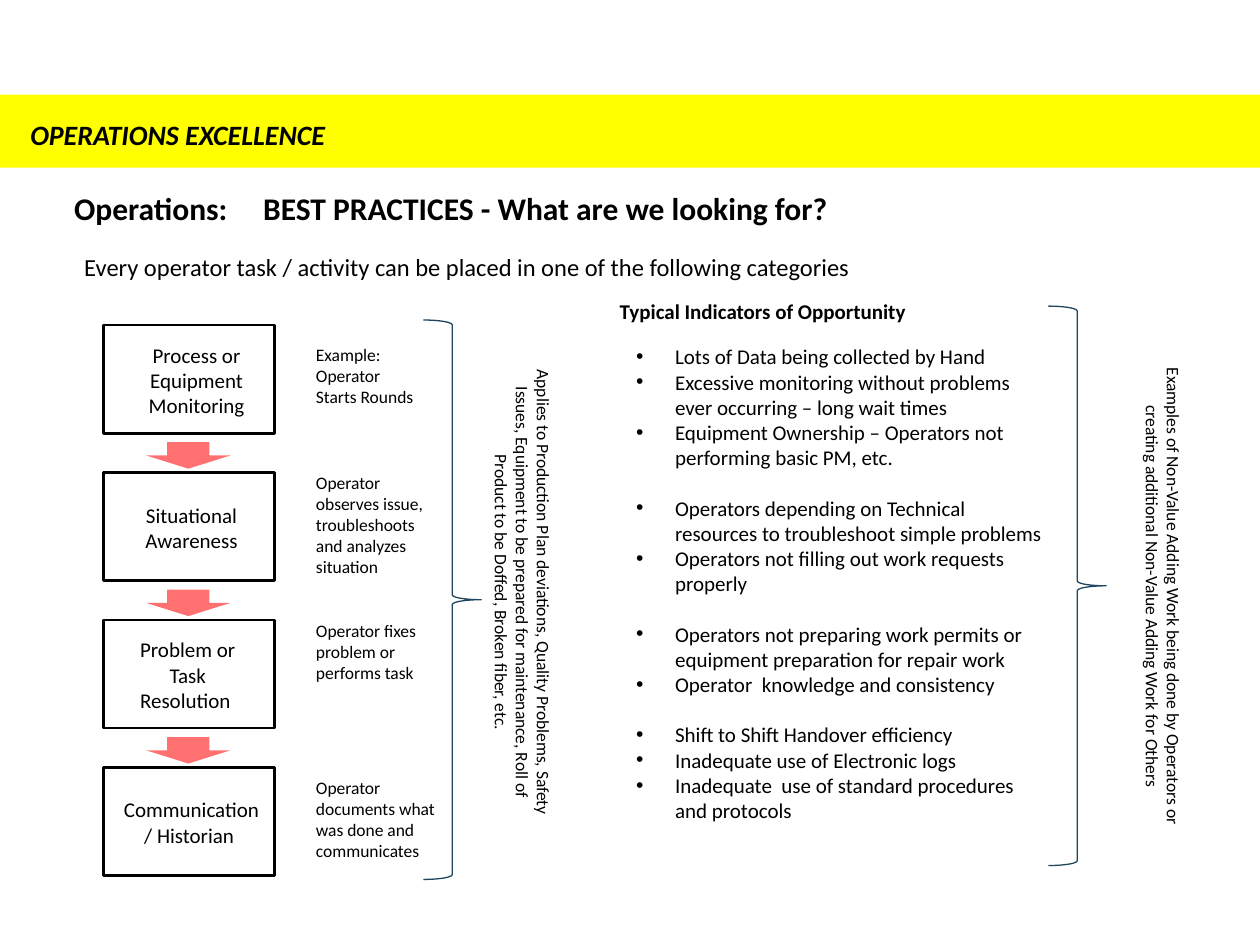
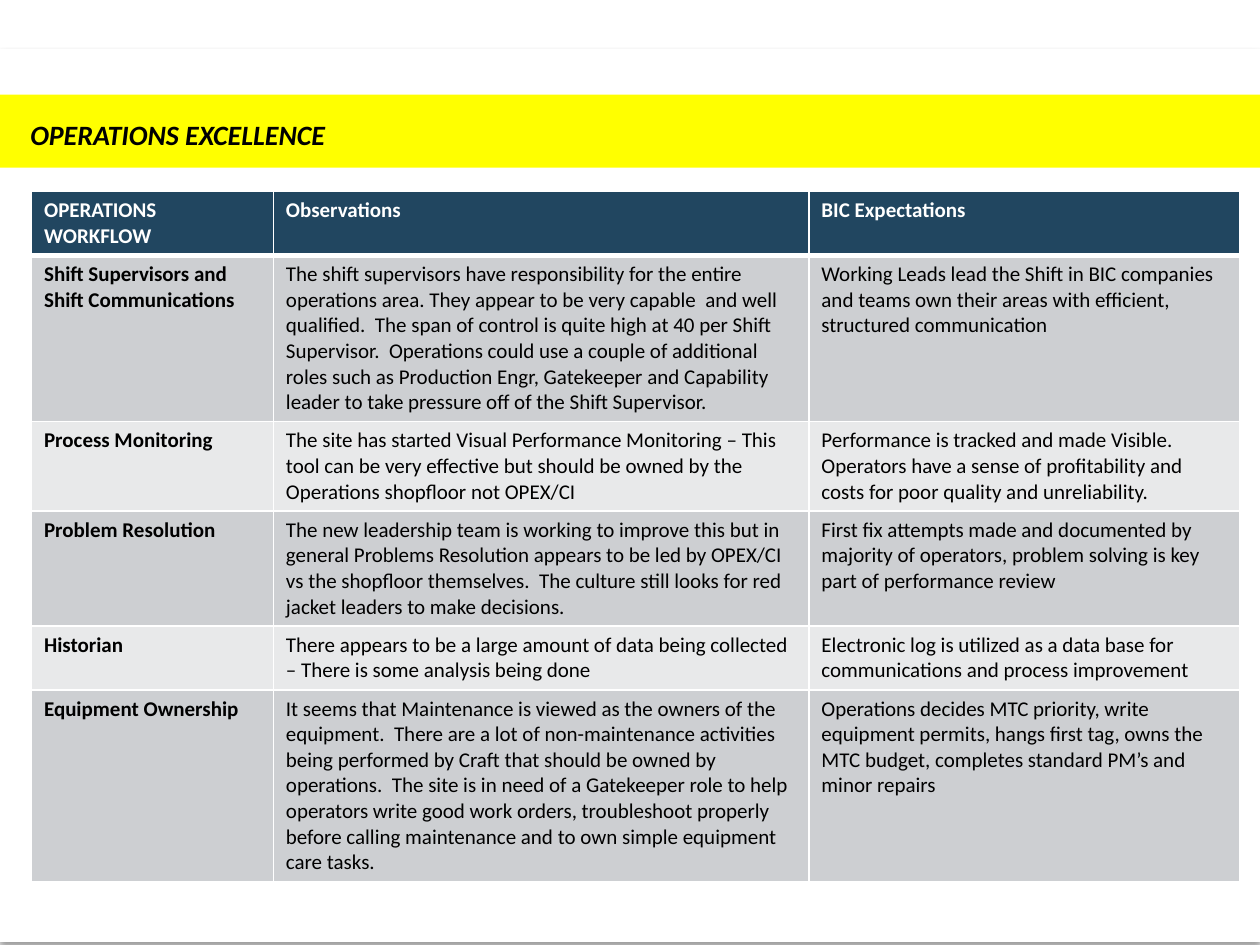
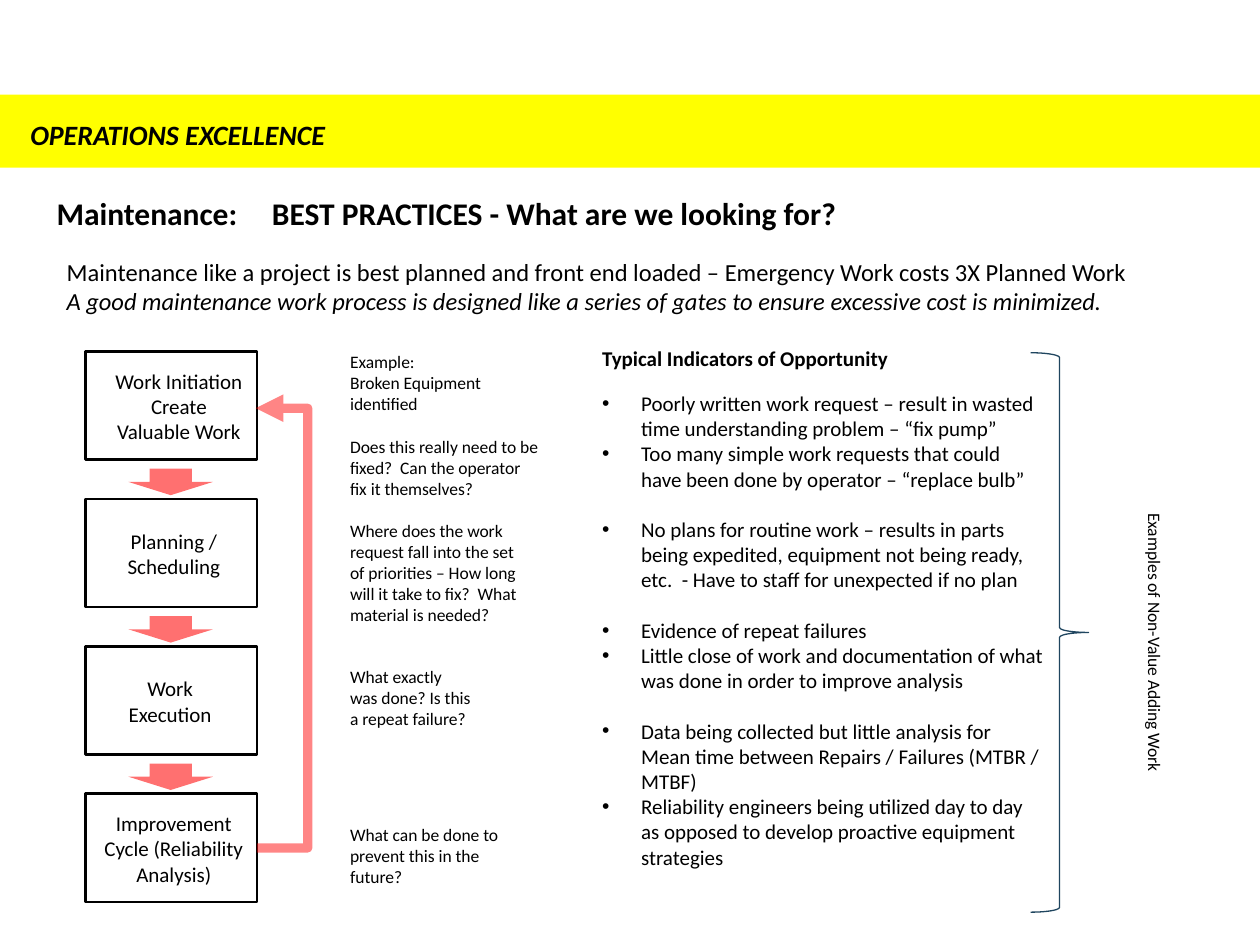
import lxml.etree
import pptx
import pptx.dml.color
import pptx.enum.shapes
import pptx.enum.text
import pptx.oxml.ns
import pptx.util

Inches = pptx.util.Inches
Pt = pptx.util.Pt
RGBColor = pptx.dml.color.RGBColor
Shape = pptx.enum.shapes.MSO_SHAPE
Align = pptx.enum.text.PP_ALIGN
Anchor = pptx.enum.text.MSO_ANCHOR
qn = pptx.oxml.ns.qn

BLACK = RGBColor(0x00, 0x00, 0x00)
WHITE = RGBColor(0xFF, 0xFF, 0xFF)
YELLOW = RGBColor(0xFF, 0xFF, 0x00)
RED = RGBColor(0xFF, 0x00, 0x00)
NAVY = RGBColor(0x1F, 0x45, 0x5F)
HEAD = RGBColor(0x21, 0x46, 0x60)
DARK = RGBColor(0xCD, 0xCF, 0xD2)
LIGHT = RGBColor(0xE8, 0xE9, 0xEA)

FONT = "Calibri"
STEP = 1.17
LABELS = [(0.13, 1.22), (0.09, 1.22), (0.06, 1.22), (0.02, 1.36)]

TASKS = ["Process or Equipment Monitoring", "Situational Awareness",
         "Problem or Task Resolution ", "Communication / Historian "]
TASK_NOTES = [
    (2.68, 1, [["Example:", "Operator Starts Rounds"]]),
    (3.7, 1.17, [["Operator observes issue, troubleshoots and analyzes situation"]]),
    (4.87, 1.17, [["Operator fixes problem or performs task"]]),
    (6.12, 1.17, [["Operator documents what was done and communicates"]]),
]
TASK_SIGNS = [
    ["Lots of Data being collected by Hand",
     "Excessive monitoring without problems ever occurring – long wait times",
     "Equipment Ownership – Operators not performing basic PM, etc."],
    ["Operators depending on Technical resources to troubleshoot simple problems",
     "Operators not filling out work requests properly"],
    ["Operators not preparing work permits or equipment preparation for repair work",
     "Operator  knowledge and consistency"],
    ["Shift to Shift Handover efficiency",
     "Inadequate use of Electronic logs",
     "Inadequate  use of standard procedures and protocols"],
]
GATES = ["Work Initiation|Create Valuable Work", "Planning / Scheduling",
         "Work Execution", "Improvement Cycle (Reliability Analysis)"]
GATE_NOTES = [
    (2.74, 1.71, [["Example:", "Broken Equipment identified"],
                  ["Does this really need to be fixed?  Can the operator fix it themselves?"]]),
    (4.08, 1.62, [["Where does the work request fall into the set of priorities – "
                   "How long will it take to fix?  What material is needed?"]]),
    (5.24, 1.17, [["What exactly was done? Is this a repeat failure?"]]),
    (6.49, 1.42, [["What can be done to prevent this in the future?"]]),
]
GATE_SIGNS = [
    ["Poorly written work request – result in wasted time understanding problem – “fix pump”",
     "Too many simple work requests that could have been done by operator – “replace bulb”"],
    ["No plans for routine work – results in parts being expedited, equipment not being "
     "ready, etc.  - Have to staff for unexpected if no plan"],
    ["Evidence of repeat failures",
     "Little close of work and documentation of what was done in order to improve analysis"],
    ["Data being collected but little analysis for Mean time between Repairs / Failures "
     "(MTBR / MTBF)",
     "Reliability engineers being utilized day to day as opposed to develop proactive "
     "equipment strategies"],
]
ROWS = [
    ["OPERATIONS|WORKFLOW", "Observations", "BIC Expectations"],
    ["Shift Supervisors and Shift Communications",
     "The shift supervisors have responsibility for the entire operations area. They appear "
     "to be very capable  and well qualified.  The span of control is quite high at 40 per "
     "Shift Supervisor.  Operations could use a couple of additional roles such as Production "
     "Engr, Gatekeeper and Capability leader to take pressure off of the Shift Supervisor.",
     "Working Leads lead the Shift in BIC companies and teams own their areas with efficient, "
     "structured communication"],
    ["Process Monitoring",
     "The site has started Visual Performance Monitoring – This tool can be very effective "
     "but should be owned by the Operations shopfloor not OPEX/CI",
     "Performance is tracked and made Visible.  Operators have a sense of profitability and "
     "costs for poor quality and unreliability."],
    ["Problem Resolution",
     "The new leadership team is working to improve this but in general Problems Resolution "
     "appears to be led by OPEX/CI vs the shopfloor themselves.  The culture still looks for "
     "red jacket leaders to make decisions.",
     "First fix attempts made and documented by majority of operators, problem solving is key "
     "part of performance review"],
    ["Historian",
     "There appears to be a large amount of data being collected – There is some analysis "
     "being done",
     "Electronic log is utilized as a data base for communications and process improvement"],
    ["Equipment Ownership",
     "It seems that Maintenance is viewed as the owners of the equipment.  There are a lot of "
     "non-maintenance activities being performed by Craft that should be owned by operations.  "
     "The site is in need of a Gatekeeper role to help operators write good work orders, "
     "troubleshoot properly before calling maintenance and to own simple equipment care tasks.",
     "Operations decides MTC priority, write equipment permits, hangs first tag, owns the MTC "
     "budget, completes standard PM’s and minor repairs"],
]


def node(root, tag, **attrs):
    item = lxml.etree.SubElement(root, qn(f"a:{tag}"))
    for key, value in attrs.items():
        item.set(key, str(value))
    return item


def fade(root, share):
    for color in root.iter(qn("a:srgbClr")):
        node(color, "alpha", val=share * 1000)


class Deck:
    """Holds the shared style and the current slide, and draws each kind of element."""

    def __init__(self):
        self.show = pptx.Presentation()
        self.show.slide_width = Inches(10)
        self.show.slide_height = Inches(7.5)
        self.slide = None

    def start(self):
        self.slide = self.show.slides.add_slide(self.show.slide_layouts[5])

    def place(self, x, y, w, h):
        return [Inches(v) for v in (x, y, w, h)]

    def words(self, para, text, size, bold=False, slant=False, color=BLACK):
        run = para.add_run()
        run.text = text
        font = run.font
        font.name, font.size = FONT, Pt(size)
        font.bold, font.italic = bold, slant
        font.color.rgb = color

    def title(self):
        self.shape(Shape.RECTANGLE, 0, 0.75, 10, 0.58, fill=YELLOW)
        title = self.slide.shapes.title
        title.left, title.top, title.width, title.height = self.place(0.14, 0.88, 9.17, 0.37)
        frame = title.text_frame
        frame.auto_size = pptx.enum.text.MSO_AUTO_SIZE.NONE
        frame.vertical_anchor = Anchor.TOP
        para = frame.paragraphs[0]
        para.alignment = Align.LEFT
        self.words(para, "OPERATIONS EXCELLENCE", 16, True, True)
        self.slide.shapes._spTree.append(title._element)

    def shape(self, kind, x, y, w, h, fill=None, line=None, width=1):
        shape = self.slide.shapes.add_shape(kind, *self.place(x, y, w, h))
        shape.shadow.inherit = False
        if fill is None:
            shape.fill.background()
        else:
            shape.fill.solid()
            shape.fill.fore_color.rgb = fill
        if line is None:
            shape.line.fill.background()
        else:
            shape.line.color.rgb = line
            shape.line.width = Pt(width)
        return shape

    def text(self, x, y, w, h, groups, size, bold=False, align=Align.LEFT,
             anchor=Anchor.TOP, bullet=False):
        box = self.slide.shapes.add_textbox(*self.place(x, y, w, h))
        frame = box.text_frame
        frame.word_wrap = True
        frame.vertical_anchor = anchor
        para = None
        for group in groups:
            for spot, line in enumerate(group):
                fresh = para is None
                para = frame.paragraphs[0] if fresh else frame.add_paragraph()
                para.alignment = align
                if spot == 0 and not fresh:
                    para.space_before = Pt(size * 1.2)
                if bullet:
                    props = para._p.get_or_add_pPr()
                    props.set("marL", str(Inches(0.31)))
                    props.set("indent", str(-Inches(0.31)))
                    node(props, "buFont", typeface="Arial")
                    node(props, "buChar", char="•")
                self.words(para, line, size, bold)
        return frame

    def heading(self, x, y, lead, tab):
        frame = self.text(x, y, 7.92, 0.4, [[f"{lead}\tBEST PRACTICES - What are we looking for?"]],
                          18, True)
        tabs = node(frame.paragraphs[0]._p.get_or_add_pPr(), "tabLst")
        node(tabs, "tab", pos=Inches(tab), algn="l")

    def turned(self, x, y, w, line):
        frame = self.text(x, y, w, 3.88, [[line]], 10, align=Align.CENTER)
        frame._txBody.bodyPr.set("vert", "vert")

    def brace(self, x, y):
        self.shape(Shape.RIGHT_BRACE, x, y, 0.46, 4.44, line=NAVY, width=0.75)

    def flow(self, x, y, steps):
        for spot, (step, (shift, width)) in enumerate(zip(steps, LABELS)):
            top = y + spot * STEP
            self.text(x + shift, top + 0.08, width, 0.71, [step.split("|")], 12,
                      align=Align.CENTER, anchor=Anchor.MIDDLE)
            self.shape(Shape.RECTANGLE, x, top, 1.36, 0.86, line=BLACK, width=1.5)
            if spot < len(steps) - 1:
                arrow = self.shape(Shape.DOWN_ARROW, x + 0.34, top + 0.93, 0.67, 0.21, fill=RED)
                fade(arrow._element.spPr, 56)

    def notes(self, x, items):
        for y, width, groups in items:
            self.text(x, y, width, 0.77, groups, 10)

    def signs(self, x, y, groups, left, top, width):
        self.text(x, y, 4.69, 0.3, [["Typical Indicators of Opportunity"]], 12, True)
        self.text(left, top, width, 4.14, groups, 12, bullet=True)

    def loop(self, x, y, end_x, end_y, bend):
        kind = pptx.enum.shapes.MSO_CONNECTOR.ELBOW
        link = self.slide.shapes.add_connector(kind, *self.place(x, y, end_x, end_y))
        link.line.color.rgb = RED
        link.line.width = Pt(5.25)
        props = link._element.spPr
        fade(props, 48)
        node(props.find(qn("a:ln")), "tailEnd", type="triangle")
        node(props, "effectLst")
        guides = props.find(qn("a:prstGeom")).find(qn("a:avLst"))
        node(guides, "gd", name="adj1", fmla=f"val {bend * 100000}")

    def panel(self):
        panel = self.shape(Shape.RECTANGLE, 0, 0.4, 10, 7.07, fill=WHITE, line=WHITE)
        effects = panel._element.spPr.find(qn("a:effectLst"))
        glow = node(effects, "outerShdw", blurRad=Pt(4), dist=Pt(3), dir=5400000, rotWithShape=0)
        node(glow, "srgbClr", val=BLACK)
        fade(glow, 40)

    def edges(self, cell, base):
        props = cell._tc.get_or_add_tcPr()
        for side, width in (("lnL", 1), ("lnR", 1), ("lnT", 1), ("lnB", base)):
            line = node(props, side, w=Pt(width))
            node(node(line, "solidFill"), "srgbClr", val=WHITE)

    def table(self, x, y, widths, rows):
        place = self.place(x, y, sum(widths), 0.41 * len(rows))
        table = self.slide.shapes.add_table(len(rows), len(widths), *place).table
        for col, width in zip(table.columns, widths):
            col.width = Inches(width)
        for r, row in enumerate(rows):
            for c, entry in enumerate(row):
                cell = table.cell(r, c)
                self.edges(cell, 1 if r else 3)
                cell.fill.solid()
                cell.fill.fore_color.rgb = (DARK if r % 2 else LIGHT) if r else HEAD
                frame = cell.text_frame
                for spot, line in enumerate(entry.split("|")):
                    para = frame.add_paragraph() if spot else frame.paragraphs[0]
                    self.words(para, line, 12, r == 0 or c == 0, color=BLACK if r else WHITE)


def main():
    deck = Deck()

    deck.start()
    deck.heading(0.49, 1.45, "Operations:", 1.5)
    deck.text(0.57, 1.95, 8.75, 0.34, [[
        "Every operator task / activity can be placed in one of the following categories"]], 14)
    deck.flow(0.82, 2.58, TASKS)
    deck.notes(2.41, TASK_NOTES)
    deck.brace(3.36, 2.54)
    deck.turned(3.74, 2.76, 0.71,
                "Applies to Production Plan deviations, Quality Problems, Safety Issues, "
                "Equipment to be prepared for maintenance, Roll of Product to be Doffed, "
                "Broken fiber, etc.")
    deck.signs(4.82, 2.32, TASK_SIGNS, 4.95, 2.68, 3.46)
    deck.brace(8.32, 2.43)
    deck.turned(8.91, 2.79, 0.54,
                "Examples of Non-Value Adding Work being done by Operators or creating "
                "additional Non-Value Adding Work for Others")
    deck.title()

    deck.start()
    deck.panel()
    deck.table(0.25, 1.52, [1.92, 4.25, 3.42], ROWS)
    deck.title()

    deck.start()
    deck.title()
    deck.heading(0.35, 1.49, "Maintenance:", 1.71)
    intro = deck.text(0.43, 1.99, 8.75, 0.57, [[
        "Maintenance like a project is best planned and front end loaded – "
        "Emergency Work costs 3X Planned Work",
        "A good maintenance work process is designed like a series of gates to ensure "
        "excessive cost is minimized."]], 14)
    intro.paragraphs[1].runs[0].font.italic = True
    deck.flow(0.68, 2.79, GATES)
    deck.notes(2.68, GATE_NOTES)
    deck.signs(4.68, 2.69, GATE_SIGNS, 4.68, 3.05, 3.71)
    deck.brace(8.18, 2.8)
    deck.turned(8.93, 3.16, 0.37, "Examples of Non-Value Adding Work")
    deck.loop(2.04, 6.73, 2.03, 3.24, -41)

    deck.show.save("out.pptx")


if __name__ == "__main__":
    main()
